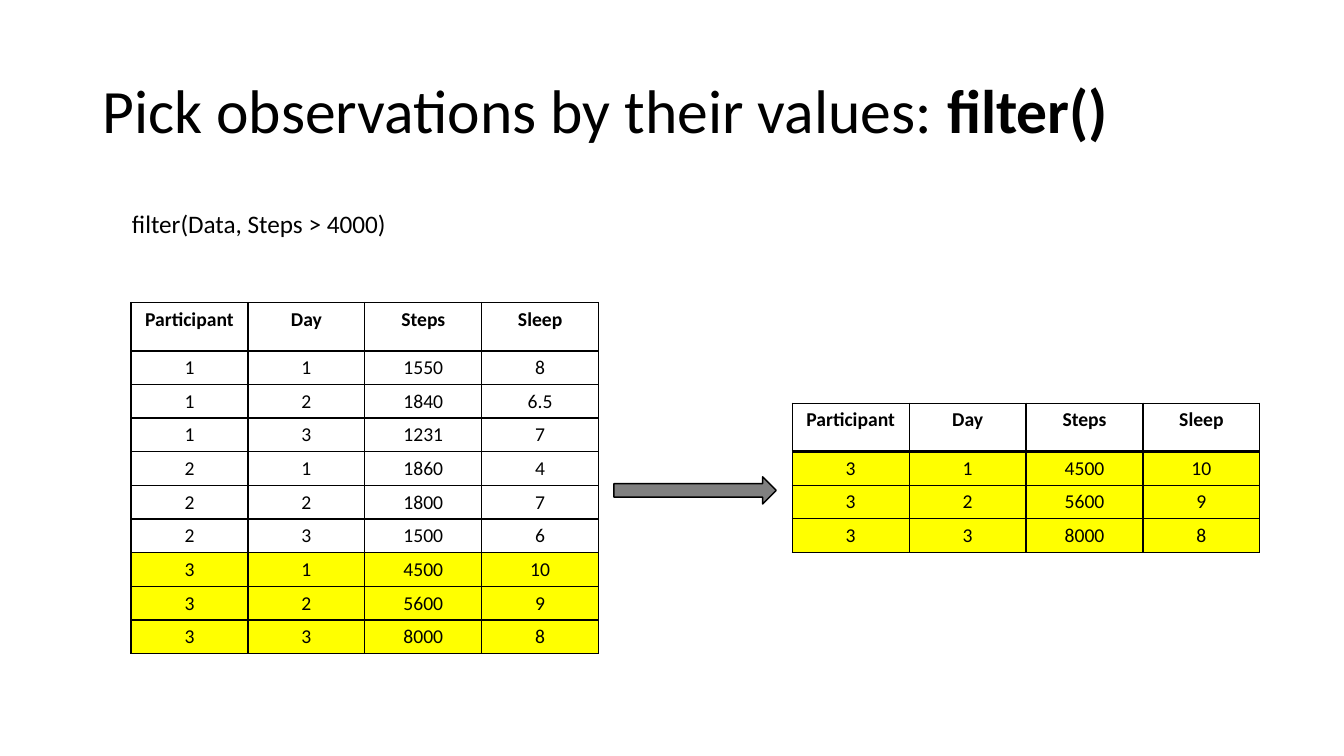
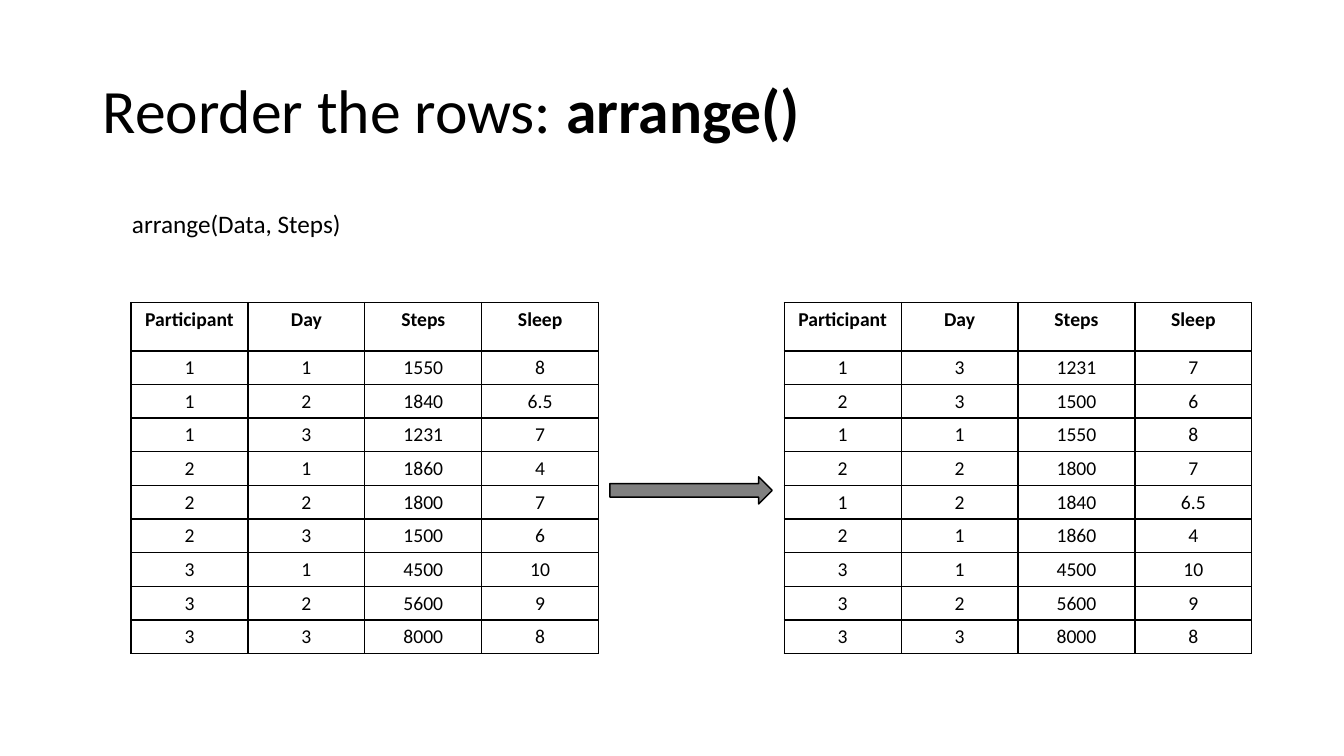
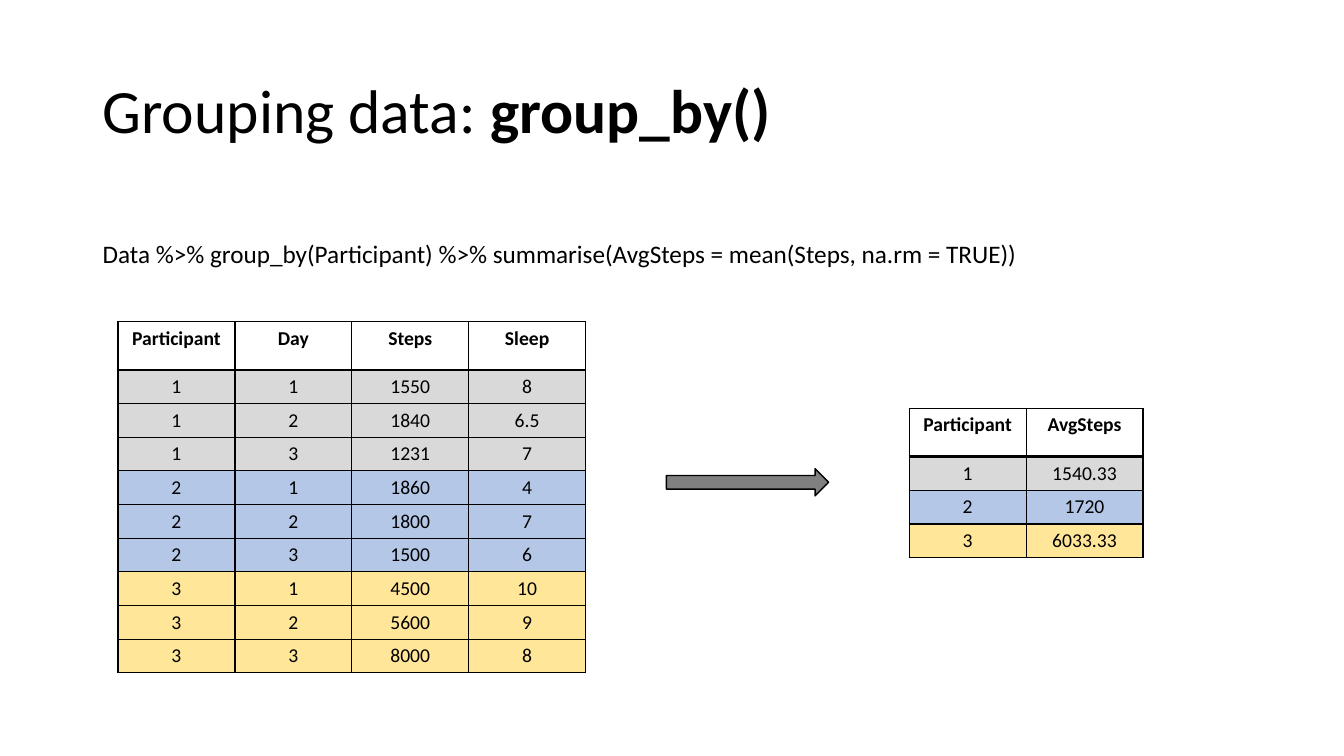
import lxml.etree
import pptx
import pptx.dml.color
import pptx.enum.shapes
import pptx.enum.text
import pptx.oxml.ns
import pptx.util

# Shared look; every position and size is a percentage of the slide
WIDTH, HEIGHT = pptx.util.Inches(13.33), pptx.util.Inches(7.5)
BLACK, WHITE, GREY, YELLOW = "000000", "FFFFFF", "808080", "FFFF00"
GROUP_COLORS = {1: "D9D9D9", 2: "B4C7E7", 3: "FFE699"}
TITLE_BOX = (6.9, 5.33, 86.25, 19.33)
COL_W, HEADER_H, ROW_H = 8.7, 6.4, 4.27
ARROW_W, ARROW_H, CODE_H = 12.08, 3.6, 5.33
TITLE_FONT = {"name": "Calibri", "size": pptx.util.Pt(44)}
CODE_FONT = {"name": "Calibri", "size": pptx.util.Pt(18)}
CELL_FONT = {"name": "Calibri", "size": pptx.util.Pt(14)}

# Example data
HEADER = ("Participant", "Day", "Steps", "Sleep")
DATA = [
    (1, 1, 1550, 8), (1, 2, 1840, 6.5), (1, 3, 1231, 7),
    (2, 1, 1860, 4), (2, 2, 1800, 7), (2, 3, 1500, 6),
    (3, 1, 4500, 10), (3, 2, 5600, 9), (3, 3, 8000, 8),
]


def rgb(value):
    return pptx.dml.color.RGBColor.from_string(value)


def across(percent):
    return round(WIDTH * percent / 100)


def down(percent):
    return round(HEIGHT * percent / 100)


def place(x, y, w, h):
    return across(x), down(y), across(w), down(h)


def add_run(p, text, fmt, bold=False):
    r = p.add_run()
    r.text = text
    for name, value in {**fmt, "bold": bold}.items():
        setattr(r.font, name, value)
    r.font.color.rgb = rgb(BLACK)


def add_text(s, box, runs, fmt, anchor="TOP", spacing=1.0):
    """Add a one-paragraph text box; runs are (text, bold) pairs."""
    tf = s.shapes.add_textbox(*place(*box)).text_frame
    tf.word_wrap = True
    tf.vertical_anchor = getattr(pptx.enum.text.MSO_ANCHOR, anchor)
    p = tf.paragraphs[0]
    p.line_spacing = spacing
    for text, bold in runs:
        add_run(p, text, fmt, bold)


def add_arrow(s, x, y):
    kind = pptx.enum.shapes.MSO_SHAPE.RIGHT_ARROW
    sp = s.shapes.add_shape(kind, *place(x, y, ARROW_W, ARROW_H))
    sp.shadow.inherit = False
    sp.fill.solid()
    sp.fill.fore_color.rgb = rgb(GREY)
    sp.line.color.rgb = rgb(BLACK)
    sp.line.width = pptx.util.Pt(1)


def add_borders(cell, bottom):
    tag = pptx.oxml.ns.qn
    props = cell._tc.get_or_add_tcPr()
    for side, width in {"L": 1, "R": 1, "T": 1, "B": bottom}.items():
        line = lxml.etree.SubElement(
            props, tag(f"a:ln{side}"), w=str(pptx.util.Pt(width)))
        fill = lxml.etree.SubElement(line, tag("a:solidFill"))
        lxml.etree.SubElement(fill, tag("a:srgbClr"), val=BLACK)


def fill_cell(cell, text, color, is_header):
    add_borders(cell, bottom=2 if is_header else 1)
    cell.fill.solid()
    cell.fill.fore_color.rgb = rgb(color)
    p = cell.text_frame.paragraphs[0]
    p.alignment = pptx.enum.text.PP_ALIGN.CENTER
    add_run(p, text, CELL_FONT, is_header)


def add_data_table(s, x, y, rows, header=HEADER, color_of=lambda row: WHITE):
    """Add a table whose row colours come from color_of(row)."""
    n_rows, n_cols = len(rows) + 1, len(header)
    box = place(x, y, n_cols * COL_W, HEADER_H + len(rows) * ROW_H)
    table = s.shapes.add_table(n_rows, n_cols, *box).table
    table.first_row = table.horz_banding = False
    for col in table.columns:
        col.width = across(COL_W)
    for i, values in enumerate([header, *rows]):
        is_header = i == 0
        table.rows[i].height = down(HEADER_H if is_header else ROW_H)
        color = WHITE if is_header else color_of(values)
        for j, value in enumerate(values):
            fill_cell(table.cell(i, j), str(value), color, is_header)


def add_verb_slide(prs, title, verb, code, code_x=9.08, code_y=26.93):
    """Add a slide with its title, bold function name and line of code."""
    s = prs.slides.add_slide(prs.slide_layouts[6])
    add_text(s, TITLE_BOX, [(title + " ", False), (verb, True)],
             TITLE_FONT, "MIDDLE", 0.9)
    add_text(s, (code_x, code_y, 86.25, CODE_H), [(code, False)], CODE_FONT)
    return s


def is_active(row):
    return row[2] > 4000


def highlight(row):
    return YELLOW if is_active(row) else WHITE


def group_color(row):
    return GROUP_COLORS[row[0]]


def average_steps(group):
    steps = [row[2] for row in DATA if row[0] == group]
    return f"{sum(steps) / len(steps):.6g}"


def main():
    prs = pptx.Presentation()
    prs.slide_width, prs.slide_height = WIDTH, HEIGHT

    # Filtering rows
    s = add_verb_slide(prs, "Pick observations by their values:", "filter()",
                       "filter(Data, Steps > 4000)")
    add_data_table(s, 9.75, 40, DATA, color_of=highlight)
    add_data_table(s, 58.95, 53.33, list(filter(is_active, DATA)),
                   color_of=highlight)
    add_arrow(s, 45.68, 63.07)

    # Sorting rows
    s = add_verb_slide(prs, "Reorder the rows:", "arrange()",
                       "arrange(Data, Steps)")
    add_data_table(s, 9.75, 40, DATA)
    add_data_table(s, 58.35, 40, sorted(DATA, key=lambda row: row[2]))
    add_arrow(s, 45.38, 63.07)

    # Grouping rows
    s = add_verb_slide(
        prs, "Grouping data:", "group_by()",
        "Data %>% group_by(Participant) %>% "
        "summarise(AvgSteps = mean(Steps, na.rm = TRUE))", 6.9, 30.93)
    add_data_table(s, 8.78, 42.53, DATA, color_of=group_color)
    averages = [(group, average_steps(group)) for group in GROUP_COLORS]
    add_data_table(s, 67.65, 54, averages, ("Participant", "AvgSteps"),
                   group_color)
    add_arrow(s, 49.58, 62)

    prs.save("out.pptx")


if __name__ == "__main__":
    main()
